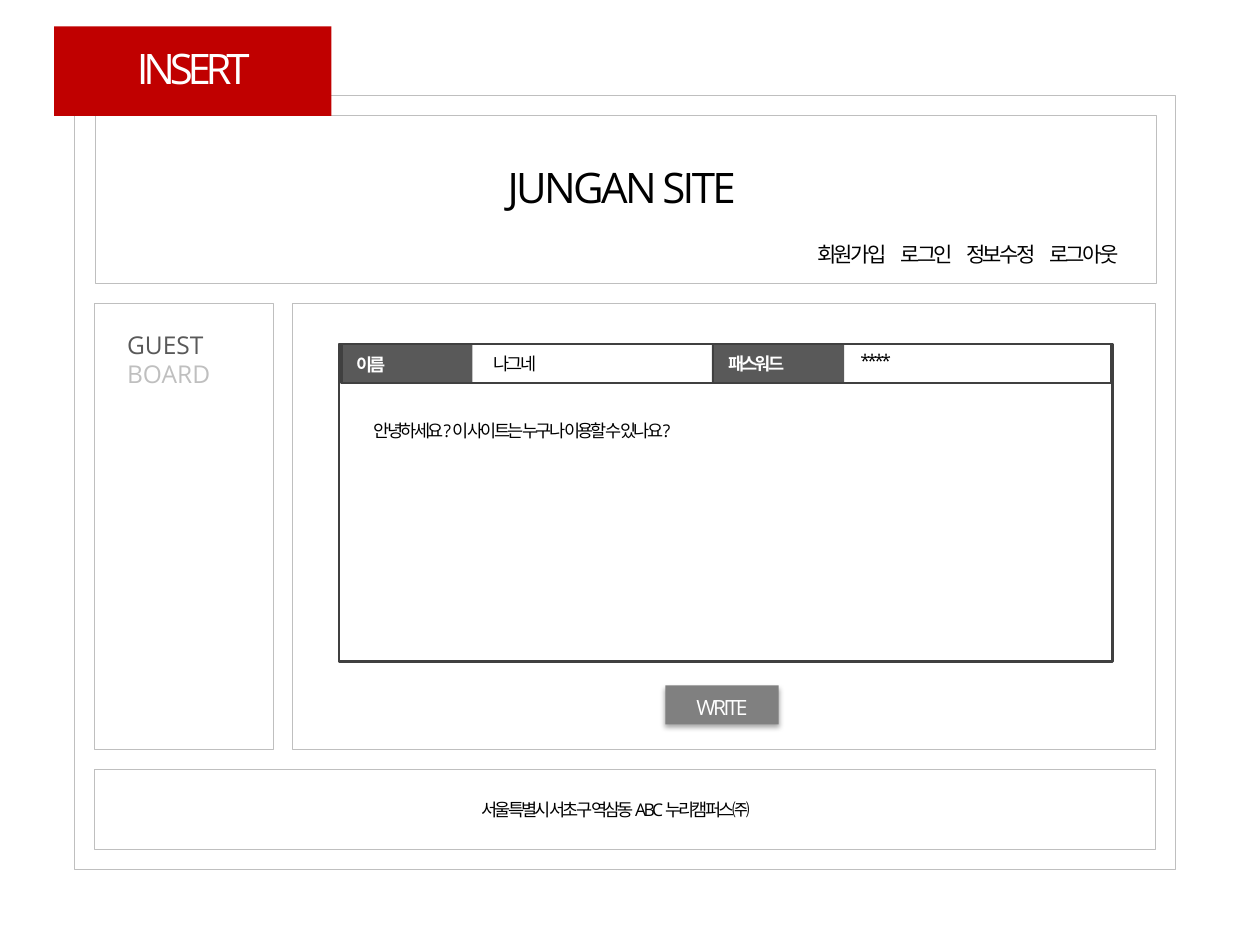
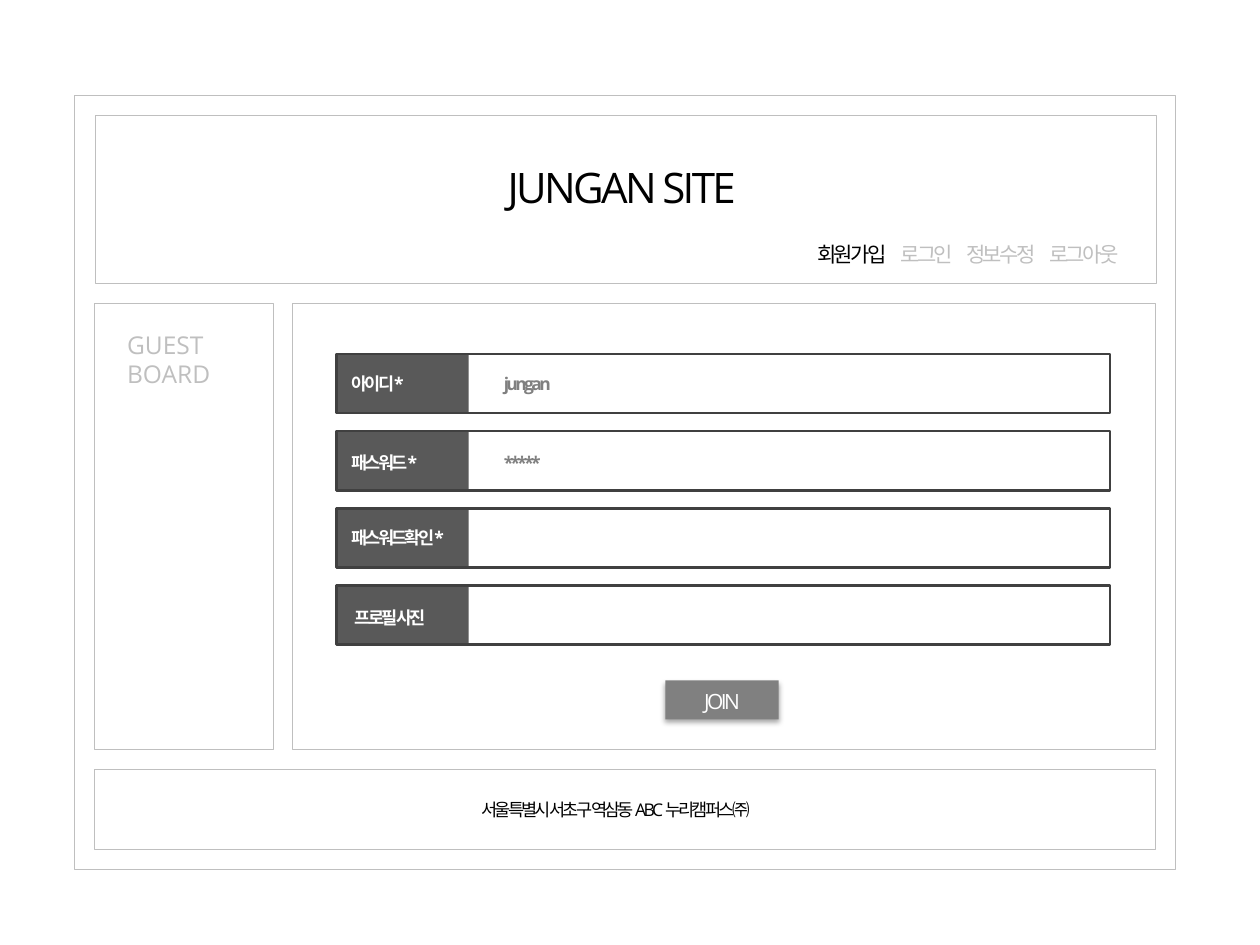
from lxml import etree
from pptx import Presentation
from pptx.dml.color import RGBColor
from pptx.enum.shapes import MSO_SHAPE
from pptx.enum.text import PP_ALIGN
from pptx.oxml.ns import qn
from pptx.util import Pt

RECT = MSO_SHAPE.RECTANGLE
LEFT, MID = PP_ALIGN.LEFT, PP_ALIGN.CENTER
FONT = "Open Sans"
HUES = {"black": "000000", "white": "FFFFFF", "pale": "BFBFBF",
        "mid": "808080", "dark": "595959", "ink": "404040", "red": "C00000"}


def tint(name):
    return RGBColor.from_string(HUES[name])


def write(frame, text, size=10, hue="black", bold=False, align=LEFT,
          track=-1.5, tabs=()):
    """Fill a frame; text is a string or paragraphs made of (words, hue) runs."""
    lines = [[(text, hue)]] if isinstance(text, str) else text
    for i, runs in enumerate(lines):
        para = frame.paragraphs[0] if i == 0 else frame.add_paragraph()
        para.alignment = align
        if tabs:
            stops = etree.SubElement(para._p.get_or_add_pPr(), qn("a:tabLst"))
            for stop in tabs:
                etree.SubElement(stops, qn("a:tab"), pos=str(Pt(stop)), algn="l")
        for words, shade in runs:
            run = para.add_run()
            run.text = words
            font = run.font
            font.name, font.size, font.bold = FONT, Pt(size), bold
            font.color.rgb = tint(shade)
            if track:
                font._element.set("spc", str(int(track * 100)))


class Page:
    """One wireframe slide with the shared site layout."""

    def __init__(self, deck, menu, nav):
        self.slide = deck.slides.add_slide(deck.slide_layouts[6])
        self.shapes = self.slide.shapes
        # Site frame, header, side bar, main area and footer
        for area in ((42.5, 54.7, 629.3, 442.1), (54.7, 66.2, 606.2, 95.8),
                     (54, 173.5, 102.2, 254.9), (167, 173.5, 493.2, 254.9),
                     (54, 439.9, 606.2, 45.4)):
            self.box(*area, line="pale", width=0.5)
        # Shared wording
        self.text(139, 134.6, 510.5, 21.6, [menu], inset=328, size=12,
                  tabs=(47.5, 85, 132.5))
        self.text(65.5, 185, 85, 58.3, nav, size=14, track=0)
        self.text(229.7, 452.9, 244, 19.4,
                  "서울특별시 서초구 역삼동 ABC 누리캠퍼스㈜", align=MID)
        self.text(100, 88.6, 510.5, 36, "JUNGAN SITE", size=24, align=MID)

    def box(self, x, y, w, h, fill=None, line=None, width=1.5, group=None):
        shapes = group.shapes if group else self.shapes
        shape = shapes.add_shape(RECT, Pt(x), Pt(y), Pt(w), Pt(h))
        shape.shadow.inherit = False
        if fill:
            shape.fill.solid()
            shape.fill.fore_color.rgb = tint(fill)
        else:
            shape.fill.background()
        if line:
            shape.line.color.rgb = tint(line)
            shape.line.width = Pt(width)
        else:
            shape.line.fill.background()
        return shape

    def text(self, x, y, w, h, text, inset=7.2, **form):
        frame = self.shapes.add_textbox(Pt(x), Pt(y), Pt(w), Pt(h)).text_frame
        frame.word_wrap = True
        frame.margin_left = Pt(inset)
        write(frame, text, **form)

    def field(self, x, y, w, h, shift=0):
        """Outlined input with a dark tag at its left end."""
        group = self.shapes.add_group_shape()
        self.box(x, y, 75.6, h, fill="dark", group=group)
        self.box(x + shift, y, w, h, line="ink", group=group)

    def label(self, x, y, text):
        self.text(x, y, 79.2, 19.4, text, hue="white", bold=True)

    def button(self, y, text):
        shape = self.box(380.2, y, 64.8, 22.3, fill="mid")
        glow = etree.SubElement(
            shape._element.spPr.find(qn("a:effectLst")), qn("a:outerShdw"),
            blurRad=str(Pt(3.1)), dist=str(Pt(1.8)), dir="5400000", rotWithShape="0")
        shade = etree.SubElement(glow, qn("a:srgbClr"), val=HUES["black"])
        etree.SubElement(shade, qn("a:alpha"), val="35000")
        self.text(377.7, y + 1.4, 69.8, 21.6, text, size=12, hue="white", align=MID)

    def badge(self, text):
        self.box(31, 15.1, 158.4, 51.1, fill="red")
        self.text(42.5, 20.9, 136, 36, text, size=24, hue="white",
                  align=MID, track=-3)


deck = Presentation()
deck.slide_width, deck.slide_height = Pt(720), Pt(540)
FIRST, REST = "회원가입\t", "로그인\t정보수정\t로그아웃"

# Slide 1: guest book entry
page = Page(deck, [(FIRST, "black"), (REST, "black")],
            [[("GUEST", "dark")], [("BOARD", "pale")]])
page.box(193.7, 196.6, 442.1, 181.4, line="ink")
page.text(206.6, 236.2, 244, 19.4, "안녕하세요? 이 사이트는 누구나 이용할 수 있나요?")
page.button(391.7, "WRITE")
page.badge("INSERT")
page.field(194.4, 196.6, 216, 22.3, shift=0.7)
page.label(196.6, 198.7, "이름")
page.field(406.8, 196.6, 227.5, 22.3, shift=0.7)
page.label(409, 198, "패스워드")
page.text(275, 198, 244, 19.4, "나그네")
page.text(484.6, 196.6, 141.8, 19.4, "****")

# Slide 2: join form
page = Page(deck, [(FIRST, "black"), (REST, "pale")],
            [[("GUEST", "pale")], [("BOARD", "pale")]])
page.button(388.8, "JOIN")
ROWS = [("아이디*", "jungan", 193.7, 209.5), ("패스워드*", "*****", 193.7, 254.9),
        ("패스워드확인*", None, 193.7, 297.4), ("프로필 사진", None, 195.8, 343.4)]
for i, (name, value, x, y) in enumerate(ROWS):
    page.field(192.2, 202.3 + 44.1 * i, 442.1, 33.8)
    page.label(x, y, name)
    if value:
        page.text(280.8, y, 56.9, 19.4, value, hue="mid", bold=True)

deck.save("out.pptx")
